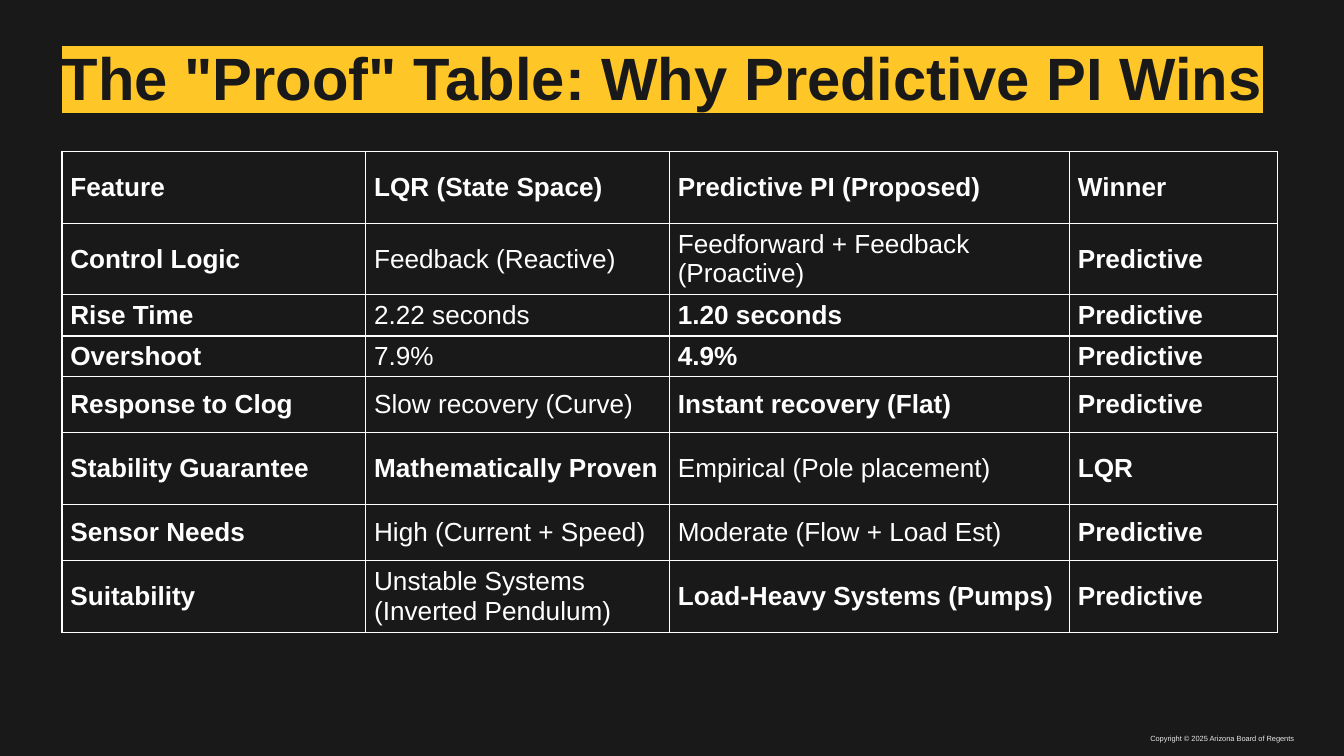
from lxml import etree
from pptx import Presentation
from pptx.dml.color import RGBColor
from pptx.enum.text import MSO_ANCHOR, MSO_AUTO_SIZE, PP_ALIGN
from pptx.oxml.ns import qn
from pptx.util import Cm, Pt

MIDDLE = MSO_ANCHOR.MIDDLE
NO_FIT = MSO_AUTO_SIZE.NONE
LEFT, RIGHT = PP_ALIGN.LEFT, PP_ALIGN.RIGHT

DARK, GOLD, WHITE, PALE = "191919", "FFC627", "FFFFFF", "E8E8E8"
TITLE = 'The "Proof" Table: Why Predictive PI Wins'
COPYRIGHT = "Copyright © 2025 Arizona Board of Regents"
ROWS = [
    ("Feature", "LQR (State Space)", "Predictive PI (Proposed)", "Winner"),
    ("Control Logic", "Feedback (Reactive)",
     "Feedforward + Feedback (Proactive)", "Predictive"),
    ("Rise Time", "2.22 seconds", "1.20 seconds", "Predictive"),
    ("Overshoot", "7.9%", "4.9%", "Predictive"),
    ("Response to Clog", "Slow recovery (Curve)",
     "Instant recovery (Flat)", "Predictive"),
    ("Stability Guarantee", "Mathematically Proven",
     "Empirical (Pole placement)", "LQR"),
    ("Sensor Needs", "High (Current + Speed)",
     "Moderate (Flow + Load Est)", "Predictive"),
    ("Suitability", "Unstable Systems (Inverted Pendulum)",
     "Load-Heavy Systems (Pumps)", "Predictive"),
]
STRONG_VALUES = {
    "1.20 seconds", "4.9%", "Instant recovery (Flat)",
    "Mathematically Proven", "Load-Heavy Systems (Pumps)",
}
COLUMN_WIDTHS = [5.74, 5.74, 7.56, 3.94]
ROW_HEIGHTS = [1.35, 1.35, 0.78, 0.76, 1.07, 1.35, 1.07, 1.35]


def colour(value):
    return RGBColor.from_string(value)


def apply(target, values):
    for name, value in values.items():
        setattr(target, name, value)


def write(frame, text, size, ink, bold=False, align=LEFT):
    para = frame.paragraphs[0]
    para.alignment = align
    span = para.add_run()
    span.text = text
    apply(span.font, {"size": Pt(size), "bold": bold, "name": "Arial"})
    span.font.color.rgb = colour(ink)
    return para, span


def place(shape, box):
    names = ("left", "top", "width", "height")
    apply(shape, dict(zip(names, map(Cm, box))))


def set_frame(frame):
    apply(frame, {
        "margin_left": 0, "margin_right": 0, "margin_top": 0,
        "margin_bottom": 0, "word_wrap": True, "auto_size": NO_FIT,
        "vertical_anchor": MIDDLE,
    })


def highlight(span, value):
    marker = etree.Element(qn("a:highlight"))
    etree.SubElement(marker, qn("a:srgbClr"), val=value)
    span.font._element.find(qn("a:latin")).addprevious(marker)


def draw_borders(cell, value, width):
    properties = cell._tc.get_or_add_tcPr()
    for side in ("lnL", "lnR", "lnT", "lnB"):
        line = etree.SubElement(properties, qn(f"a:{side}"), w=str(Pt(width)))
        fill = etree.SubElement(line, qn("a:solidFill"))
        etree.SubElement(fill, qn("a:srgbClr"), val=value)


def add_title(page, box):
    title = page.shapes.title
    place(title, box)
    set_frame(title.text_frame)
    para, span = write(title.text_frame, TITLE, 32, DARK, bold=True)
    para.line_spacing = 0.9
    highlight(span, GOLD)


def add_comparison(page, box):
    table = page.shapes.add_table(
        len(ROWS), len(COLUMN_WIDTHS), *map(Cm, box)).table
    for column, width in zip(table.columns, COLUMN_WIDTHS):
        column.width = Cm(width)
    for row, height in zip(table.rows, ROW_HEIGHTS):
        row.height = Cm(height)
    for row_index, values in enumerate(ROWS):
        for column_index, text in enumerate(values):
            cell = table.cell(row_index, column_index)
            apply(cell, {
                "margin_left": Cm(0.16), "margin_right": Cm(0.16),
                "margin_top": Cm(0.1), "margin_bottom": Cm(0.1),
                "vertical_anchor": MIDDLE,
            })
            draw_borders(cell, WHITE, 0.75)
            cell.fill.background()
            bold = (row_index == 0 or column_index in (0, 3)
                    or text in STRONG_VALUES)
            write(cell.text_frame, text, 14, WHITE, bold)


def add_copyright(page, box):
    note = page.shapes.add_textbox(*map(Cm, box))
    set_frame(note.text_frame)
    write(note.text_frame, COPYRIGHT, 4, PALE, align=RIGHT)


def main():
    deck = Presentation()
    apply(deck, {"slide_width": Cm(25.4), "slide_height": Cm(14.29)})
    page = deck.slides.add_slide(deck.slide_layouts[5])
    page.background.fill.solid()
    page.background.fill.fore_color.rgb = colour(DARK)
    add_copyright(page, (21.56, 13.87, 2.9, 0.18))
    add_title(page, (1.17, 0.89, 22.99, 1.27))
    add_comparison(page, (1.17, 2.87, sum(COLUMN_WIDTHS), sum(ROW_HEIGHTS)))
    deck.save("out.pptx")


if __name__ == "__main__":
    main()
